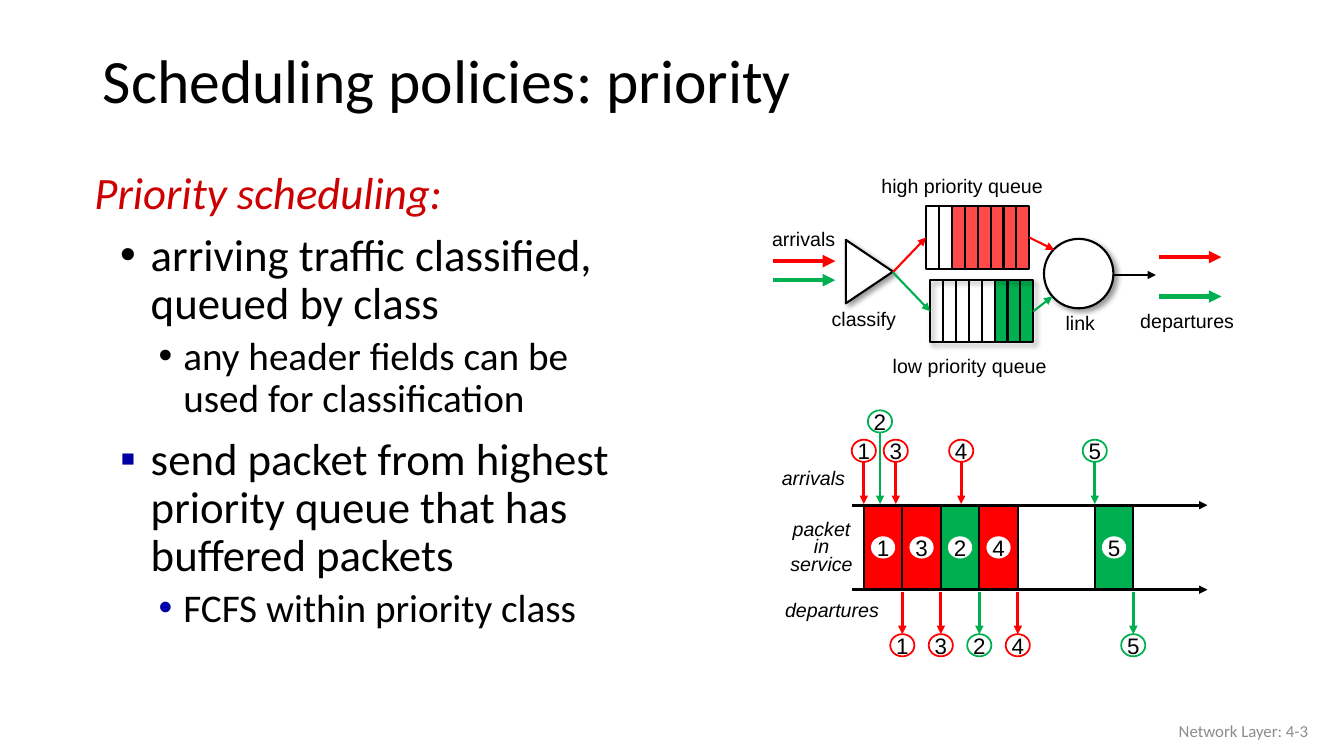
import pptx
import pptx.dml.color
import pptx.enum.shapes
import pptx.enum.text
import pptx.oxml
import pptx.oxml.ns
import pptx.util

Cm = pptx.util.Cm
Pt = pptx.util.Pt
RGBColor = pptx.dml.color.RGBColor
Shape = pptx.enum.shapes.MSO_SHAPE
Align = pptx.enum.text.PP_ALIGN
Anchor = pptx.enum.text.MSO_ANCHOR
qn = pptx.oxml.ns.qn

BLACK = RGBColor(0x00, 0x00, 0x00)
WHITE = RGBColor(0xFF, 0xFF, 0xFF)
RED = RGBColor(0xFF, 0x00, 0x00)
GREEN = RGBColor(0x00, 0xB0, 0x50)
HEADING = RGBColor(0xCC, 0x00, 0x00)
SQUARE_BLUE = RGBColor(0x00, 0x00, 0xA3)
DOT_BLUE = RGBColor(0x00, 0x00, 0xA8)
GREY = RGBColor(0x8C, 0x8C, 0x8C)

SLOT = 0.97
BADGE_WIDTH, BADGE_HEIGHT = 0.61, 0.56
PACKETS = [
    (1, RED, 0, 0, 0),
    (3, RED, 1, 0.83, 0),
    (2, GREEN, 2, 0.42, 0.74),
    (4, RED, 3, 2.53, 0),
    (5, GREEN, 6, 6, 0),
]


def add_xml(parent, xml):
    namespace = pptx.oxml.ns.nsdecls("a")
    parent.append(pptx.oxml.parse_xml(xml.replace("/>", f" {namespace}/>", 1)
                                      if xml.endswith("/>") and xml.count("<") == 1
                                      else xml.replace(">", f" {namespace}>", 1)))


def set_font(para, size, name, color=BLACK, italic=False):
    para.font.size = Pt(size)
    para.font.name = name
    para.font.color.rgb = color
    para.font.italic = italic


def add_shape(page, kind, left, top, width, height, fill=None, line=None, weight=1.5, shadow=False):
    shape = page.shapes.add_shape(kind, Cm(left), Cm(top), Cm(width), Cm(height))
    shape.shadow.inherit = False
    if fill is None:
        shape.fill.background()
    else:
        shape.fill.solid()
        shape.fill.fore_color.rgb = fill
    if line is None:
        shape.line.fill.background()
    else:
        shape.line.color.rgb = line
        shape.line.width = Pt(weight)
    if shadow:
        effects = shape.element.spPr.find(qn("a:effectLst"))
        add_xml(effects, '<a:outerShdw blurRad="50800" dist="38100" dir="2700000" algn="tl">'
                         '<a:srgbClr val="000000"><a:alpha val="40000"/></a:srgbClr></a:outerShdw>')
    return shape


def add_line(page, x1, y1, x2, y2, color=BLACK, weight=1.5, arrow=True):
    line = page.shapes.add_connector(pptx.enum.shapes.MSO_CONNECTOR.STRAIGHT,
                                     Cm(x1), Cm(y1), Cm(x2), Cm(y2))
    line.line.color.rgb = color
    line.line.width = Pt(weight)
    properties = line.element.spPr
    if arrow:
        add_xml(properties.find(qn("a:ln")), '<a:tailEnd type="triangle"/>')
    add_xml(properties, "<a:effectLst/>")
    return line


def add_label(page, text, left, top, width, height=0.86, italic=False, wrap=False):
    box = page.shapes.add_textbox(Cm(left), Cm(top), Cm(width), Cm(height))
    box.text_frame.word_wrap = wrap
    para = box.text_frame.paragraphs[0]
    para.text = text
    para.alignment = Align.CENTER
    set_font(para, 14, "Arial", italic=italic)
    return para


def add_badge(page, number, center, top, line=None):
    badge = add_shape(page, Shape.OVAL, center - BADGE_WIDTH / 2, top,
                      BADGE_WIDTH, BADGE_HEIGHT, WHITE, line, 1.25)
    frame = badge.text_frame
    frame.margin_left = frame.margin_right = frame.margin_top = frame.margin_bottom = 0
    frame.word_wrap = False
    frame.vertical_anchor = Anchor.MIDDLE
    para = frame.paragraphs[0]
    para.text = str(number)
    para.alignment = Align.CENTER
    set_font(para, 16, "Arial")


def add_title(page, left, top, width, height):
    title = page.shapes.title
    title.left, title.top, title.width, title.height = Cm(left), Cm(top), Cm(width), Cm(height)
    title.text_frame.vertical_anchor = Anchor.MIDDLE
    para = title.text_frame.paragraphs[0]
    para.text = "Scheduling policies: priority"
    para.alignment = Align.LEFT
    para.line_spacing = 0.9
    set_font(para, 44, "Calibri")


def add_bullets(page, left, top, width, height, items):
    box = page.shapes.add_textbox(Cm(left), Cm(top), Cm(width), Cm(height))
    frame = box.text_frame
    frame.word_wrap = True
    for index, (text, level, bullet, bullet_color) in enumerate(items):
        para = frame.add_paragraph() if index else frame.paragraphs[0]
        para.text = text
        para.level = max(level - 1, 0)
        margin, hanging = [(0.64, 0.64), (1.42, 0.77), (2.24, 0.62)][level]
        properties = para._p.get_or_add_pPr()
        properties.set("marL", str(Cm(margin)))
        properties.set("indent", str(-Cm(hanging)))
        if bullet:
            add_xml(properties, f'<a:buClr><a:srgbClr val="{bullet_color}"/></a:buClr>')
            add_xml(properties, '<a:buFont typeface="Arial"/>')
            add_xml(properties, f'<a:buChar char="{bullet}"/>')
        para.line_spacing = 0.9
        if index:
            para.space_before = Pt(5 if level == 2 else 10)
        set_font(para, 28 if level == 2 else 32, "Calibri",
                 BLACK if level else HEADING, level == 0)


def add_queue(page, left, top, color, empty, opacity=100, shadow=False):
    slots, width, height = 8, 2.6, 1.57
    pitch = width / slots
    waiting = add_shape(page, Shape.RECTANGLE, left + empty * pitch, top,
                        (slots - empty) * pitch, height, color)
    if opacity < 100:
        shade = waiting.element.spPr.find(qn("a:solidFill")).find(qn("a:srgbClr"))
        add_xml(shade, f'<a:alpha val="{opacity * 1000}"/>')
    queue = add_shape(page, Shape.RECTANGLE, left, top, width, height, line=BLACK, shadow=shadow)
    for slot in range(1, slots):
        x = left + slot * pitch
        add_line(page, x, top, x, top + height, arrow=False)
    return queue


def add_queue_diagram(page, left, top):
    low = add_queue(page, left + 4.24, top + 2.79, GREEN, 5, shadow=True)
    high = add_queue(page, left + 4.14, top + 0.93, RED, 2, opacity=71)
    classifier = add_shape(page, Shape.ISOSCELES_TRIANGLE, left + 1.91, top + 1.98, 1.6, 1.19,
                           WHITE, BLACK, shadow=True)
    classifier.rotation = 90
    add_shape(page, Shape.OVAL, left + 7.11, top + 1.75, 1.75, 1.75, WHITE, BLACK, shadow=True)
    for queue, color, link_x, link_y in [(high, RED, 7.37, 2.03), (low, GREEN, 7.32, 3.2)]:
        entry = add_line(page, left + 3.3, top + 2.59, left + 4.14, top + 2.59, color)
        entry.end_connect(queue, 1)
        leaving = add_line(page, left + 6.74, top + 2.59, left + link_x, top + link_y, color)
        leaving.begin_connect(queue, 3)
    add_line(page, left + 8.86, top + 2.66, left + 9.93, top + 2.66)
    for x, y, color in [(0.28, 2.31, RED), (0.28, 2.79, GREEN), (10.01, 2.21, RED), (10.01, 3.2, GREEN)]:
        add_line(page, left + x, top + y, left + x + 1.57, top + y, color, 3)
    for text, x, y, width in [
        ("high priority queue", 2.75, 0, 4.6),
        ("low priority queue", 3.03, 4.52, 4.42),
        ("arrivals", 0, 1.32, 2.11),
        ("classify", 1.48, 3.35, 2.18),
        ("departures", 9.27, 3.4, 2.9),
        ("link", 7.39, 3.43, 1.27),
    ]:
        add_label(page, text, left + x, top + y, width)


def add_timeline(page, left, top):
    start, upper, lower = left + 2.39, top + 2.39, top + 4.52
    for number, color, slot, arrival, lift in PACKETS:
        x = start + slot * SLOT
        add_shape(page, Shape.RECTANGLE, x, upper, SLOT, lower - upper, color, BLACK, 1.25)
        add_badge(page, number, x + SLOT / 2, (upper + lower - BADGE_HEIGHT) / 2)
    for axis in (upper, lower):
        add_line(page, left + 2.08, axis, left + 11.05, axis, weight=2)
    add_label(page, "arrivals", left, top + 1.27, 2.24, italic=True)
    add_label(page, "departures", left + 0.08, top + 4.6, 3.02, italic=True)
    service = add_label(page, "packet in service", left + 0.13, top + 2.69, 2.39, 1.65, True, True)
    service.line_spacing = Pt(12.8)
    for number, color, slot, arrival, lift in PACKETS:
        x, y = start + arrival * SLOT, top + 0.74 - lift
        add_badge(page, number, x, y, color)
        add_line(page, x, y + BADGE_HEIGHT, x, upper - 0.03, color, 2)
        x, y = start + (slot + 1) * SLOT, top + 5.64
        add_badge(page, number, x, y, color)
        add_line(page, x, lower + 0.05, x, y, color, 2)


def add_footer(page, left, top, width, height):
    box = page.shapes.add_textbox(Cm(left), Cm(top), Cm(width), Cm(height))
    box.text_frame.word_wrap = True
    box.text_frame.vertical_anchor = Anchor.MIDDLE
    para = box.text_frame.paragraphs[0]
    para.text = "Network Layer: 4-3"
    para.alignment = Align.RIGHT
    set_font(para, 12, "Calibri", GREY)


def main():
    deck = pptx.Presentation()
    deck.slide_width, deck.slide_height = Cm(33.87), Cm(19.05)
    page = deck.slides.add_slide(deck.slide_layouts[5])
    add_title(page, 2.34, 0.86, 29.21, 2.49)
    add_bullets(page, 2.13, 4.17, 14.12, 7.44, [
        ("Priority scheduling:", 0, None, None),
        ("arriving traffic classified, queued by class", 1, "•", BLACK),
        ("any header fields can be used for classification", 2, "•", BLACK),
    ])
    add_bullets(page, 2.13, 10.87, 14.12, 5.46, [
        ("send packet from highest priority queue that has buffered packets", 1, "▪", SQUARE_BLUE),
        ("FCFS within priority class", 2, "•", DOT_BLUE),
    ])
    add_queue_diagram(page, 19.2, 4.27)
    add_timeline(page, 19.38, 10.34)
    add_footer(page, 25.6, 17.91, 7.62, 1.02)
    deck.save("out.pptx")


if __name__ == "__main__":
    main()
